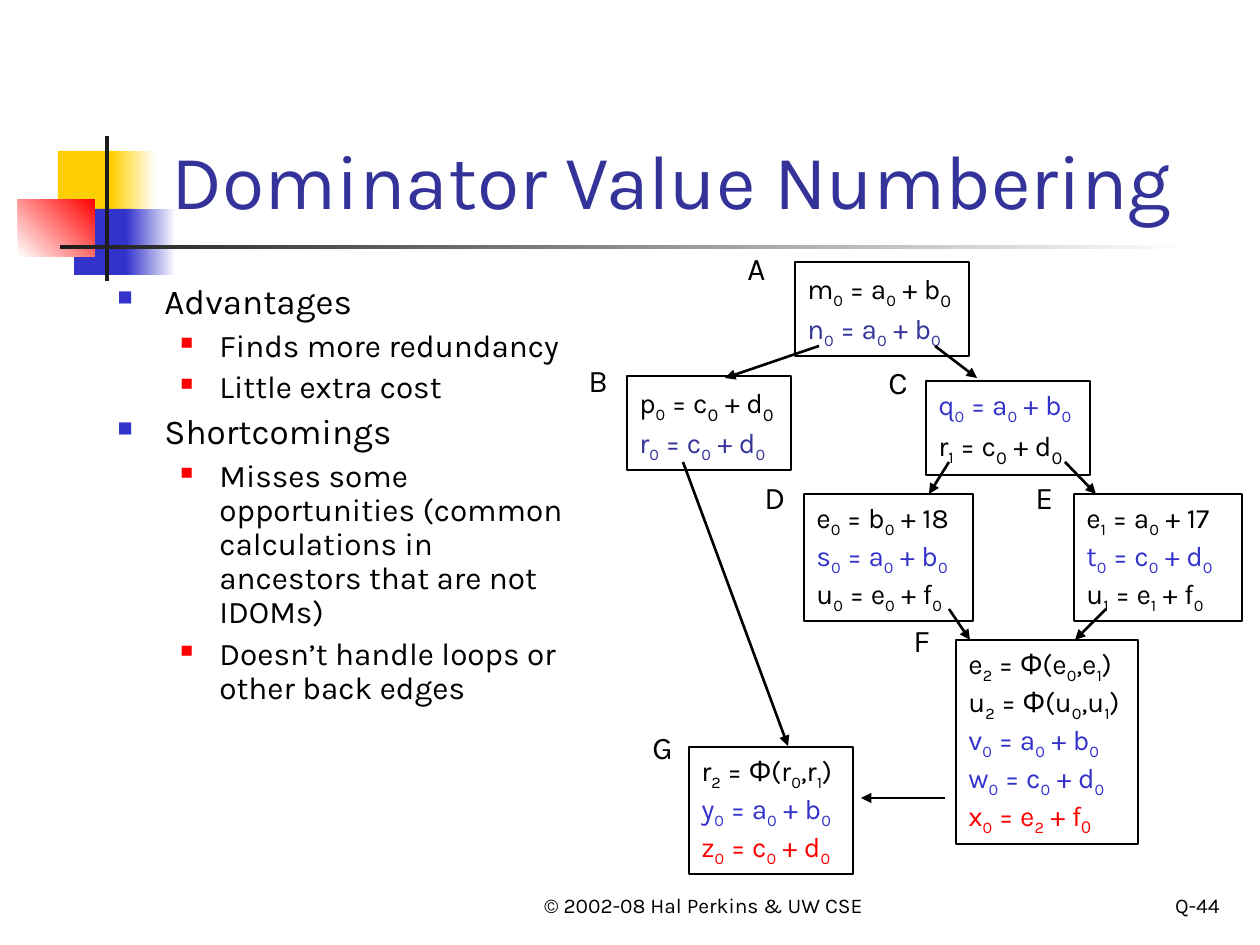
from lxml import etree
from pptx import Presentation
from pptx.dml.color import RGBColor
from pptx.enum.shapes import MSO_CONNECTOR as Connector, MSO_SHAPE as Shape
from pptx.enum.text import MSO_ANCHOR as Anchor, MSO_AUTO_SIZE as AutoSize, PP_ALIGN as Align
from pptx.oxml.ns import qn
from pptx.util import Emu, Pt

COLORS = {
    "black": "000000", "white": "FFFFFF", "ink": "1C1C1C", "yellow": "FFCF01",
    "blue": "3333CC", "navy": "333399", "red": "FF0000",
}
FONT = "Karla"
TITLE = "Dominator Value Numbering"

# Master decoration: left, top, width, height, colour, fade-to colour, angle
DECOR = [
    (58, 151, 60, 66, "yellow", None, 0),
    (111, 151, 45, 66, "yellow", "white", 0),
    (74, 209, 58, 66, "blue", None, 0),
    (126, 209, 50, 66, "blue", "white", 0),
    (18, 199, 77, 58, "white", "red", 45),
    (105, 136, 4, 145, "ink", None, 0),
    (60, 245, 1134, 4, "ink", "white", 0),
]

# Bullets: level, text
BULLETS = [
    (0, "Advantages"),
    (1, "Finds more redundancy"),
    (1, "Little extra cost"),
    (0, "Shortcomings"),
    (1, "Misses some opportunities (common calculations in ancestors that are not IDOMs)"),
    (1, "Doesn’t handle loops or other back edges"),
]
# Per level: size, space before, left margin, hanging indent, bullet colour, bullet percent
LEVELS = [(20, 5, 47, 47, "blue", 60), (18, 4.5, 102, 39, "red", 55)]

# A marker makes the next character a subscript of this size and font
SUBSCRIPTS = {"_": (16, FONT), "^": (18, FONT), "~": (16, "Lato")}

# Blocks: name, label corner, box, lines of (colour, code)
BLOCKS = [
    ("A", (735, 243), (795, 262, 174, 94),
     [("black", "m_0 = a_0 + b^0"), ("navy", "n_0 = a_0 + b_0")]),
    ("B", (576, 355), (627, 376, 164, 94),
     [("black", "p_0 = c^0 + d^0"), ("navy", "r_0 = c_0 + d_0")]),
    ("C", (876, 357), (926, 381, 164, 94),
     [("blue", "q_0 = a_0 + b_0"), ("black", "r_1 = c^0 + d^0")]),
    ("D", (752, 472), (804, 494, 169, 127),
     [("black", "e_0 = b_0 + 18"), ("blue", "s_0 = a_0 + b_0"), ("black", "u_0 = e_0 + f_0")]),
    ("E", (1023, 472), (1074, 494, 168, 127),
     [("black", "e_1 = a_0 + 17"), ("blue", "t_0 = c_0 + d_0"), ("black", "u_1 = e_1 + f_0")]),
    ("F", (901, 615), (956, 640, 182, 204),
     [("black", "e_2 = Φ(e_0,e_1)"), ("black", "u_2 = Φ(u_0,u_1)"),
      ("blue", "v_0 = a_0 + b_0"), ("blue", "w_0 = c_0 + d_0"), ("red", "x_0 = e_2 + f~0")]),
    ("G", (640, 722), (689, 747, 164, 127),
     [("black", "r_2 = Φ(r_0,r_1)"), ("blue", "y_0 = a_0 + b_0"), ("red", "z_0 = c_0 + d_0")]),
]

# Arrows: from x, y to x, y
ARROWS = [
    (945, 798, 861, 798), (949, 462, 929, 494), (1065, 462, 1096, 494),
    (1106, 609, 1075, 640), (949, 609, 970, 640), (935, 346, 977, 378),
    (819, 346, 725, 378), (683, 462, 788, 746),
]

FOOTERS = [
    ((504, 861, 399, 63), "© 2002-08 Hal Perkins & UW CSE", Align.CENTER),
    ((970, 861, 262, 63), "Q-44", Align.RIGHT),
]


def px(length):
    return Emu(round(length * 914400 / 126))


def rgb(name):
    return RGBColor.from_string(COLORS[name])


def style(span, size, color="black", font=FONT):
    span.font.size, span.font.name = Pt(size), font
    span.font.color.rgb = rgb(color)


def set_frame(frame, wrap=True, anchor=Anchor.TOP):
    frame.word_wrap = wrap
    frame.auto_size = AutoSize.NONE
    frame.vertical_anchor = anchor


def add_text(place, text, size, align=Align.LEFT, wrap=True, anchor=Anchor.TOP):
    frame = page.shapes.add_textbox(*map(px, place)).text_frame
    set_frame(frame, wrap, anchor)
    frame.text = text
    frame.paragraphs[0].alignment = align
    style(frame.paragraphs[0].runs[0], size)


def add_rectangle(place):
    box = page.shapes.add_shape(Shape.RECTANGLE, *map(px, place))
    box.shadow.inherit = False
    return box


def write_code(para, code, color):
    marker = None
    for char in code:
        if char in SUBSCRIPTS:
            marker = char
            continue
        span = para.add_run()
        span.text = char
        style(span, 16, color)
        if marker:
            style(span, SUBSCRIPTS[marker][0], color, SUBSCRIPTS[marker][1])
            span.font._element.set("baseline", "-25000")
            marker = None


def add_bullet(para, level):
    size, before, margin, hanging, color, percent = LEVELS[level]
    props = para._p.get_or_add_pPr()
    props.set("marL", str(px(margin)))
    props.set("indent", str(-px(hanging)))
    tint = etree.SubElement(props, qn("a:buClr"))
    etree.SubElement(tint, qn("a:srgbClr"), val=COLORS[color])
    etree.SubElement(props, qn("a:buSzPct"), val=str(percent * 1000))
    etree.SubElement(props, qn("a:buChar"), char="■")
    para.level = level
    para.line_spacing = 0.9
    style(para.runs[0], size)
    return Pt(before)


deck = Presentation()
deck.slide_width, deck.slide_height = px(1260), px(945)
page = deck.slides.add_slide(deck.slide_layouts[5])

# Decoration
for *place, color, fade, angle in DECOR:
    box = add_rectangle(place)
    box.line.fill.background()
    if fade:
        box.fill.gradient()
        box.fill.gradient_angle = angle
        for stop, name in zip(box.fill.gradient_stops, (color, fade)):
            stop.color.rgb = rgb(name)
    else:
        box.fill.solid()
        box.fill.fore_color.rgb = rgb(color)

# Title
title = page.shapes.title
title.left, title.top, title.width, title.height = map(px, (159, 29, 1074, 202))
title.text_frame.text = TITLE
set_frame(title.text_frame, anchor=Anchor.BOTTOM)
title.text_frame.paragraphs[0].alignment = Align.LEFT
style(title.text_frame.paragraphs[0].runs[0], 44, "navy")

# Footers
for place, text, align in FOOTERS:
    add_text(place, text, 12, align, anchor=Anchor.BOTTOM)

# Blocks of the flow graph
for name, corner, place, lines in BLOCKS:
    box = add_rectangle(place)
    box.fill.background()
    box.line.color.rgb, box.line.width = rgb("black"), Pt(1.5)
    set_frame(box.text_frame, wrap=False)
    for index, (color, code) in enumerate(lines):
        para = box.text_frame.add_paragraph() if index else box.text_frame.paragraphs[0]
        para.alignment = Align.LEFT
        write_code(para, code, color)
    add_text((*corner, 46, 50), name, 18, wrap=False)

# Arrows
for ends in ARROWS:
    arrow = page.shapes.add_connector(Connector.STRAIGHT, *map(px, ends))
    arrow.line.color.rgb, arrow.line.width = rgb("black"), Pt(1.5)
    etree.SubElement(arrow.line._get_or_add_ln(), qn("a:tailEnd"), type="triangle")
    etree.SubElement(arrow._element.spPr, qn("a:effectLst"))

# Bullet list
frame = page.shapes.add_textbox(*map(px, (105, 278, 483, 567))).text_frame
set_frame(frame)
frame.text = "\n".join(text for _, text in BULLETS)
for index, (para, (level, _)) in enumerate(zip(frame.paragraphs, BULLETS)):
    before = add_bullet(para, level)
    if index:
        para.space_before = before

deck.save("out.pptx")
